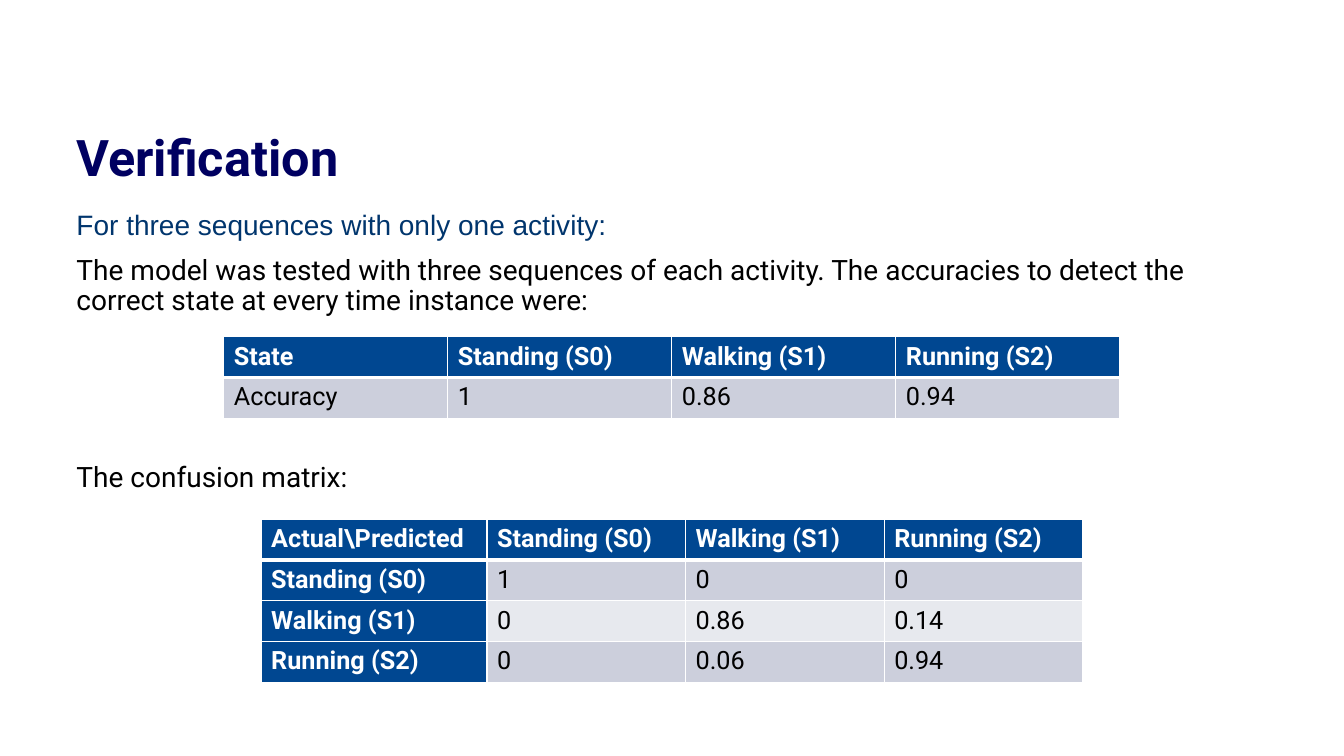
from lxml import etree
from pptx import Presentation, util as u
from pptx.dml.color import RGBColor
from pptx.enum import text
from pptx.oxml.ns import qn

# Content
TITLE = "Verification"
BODY = [  # words, font, colour, space before
    ("For three sequences with only one activity:", "Arial", "00356D", 10),
    ("The model was tested with three sequences of each activity. The accuracies "
     "to detect the correct state at every time instance were:", "Roboto", "000000", 10),
    ("The confusion matrix:", "Roboto", "000000", 105),
]
STATES = ["Standing (S0)", "Walking (S1)", "Running (S2)"]
SCORES = [["State", *STATES], ["Accuracy", "1", "0.86", "0.94"]]
MATRIX = [
    ["Actual\\Predicted", *STATES],
    [STATES[0], "1", "0", "0"],
    [STATES[1], "0", "0.86", "0.14"],
    [STATES[2], "0", "0.06", "0.94"],
]

# Layout and colours
WIDE, HIGH = 13.33, 7.5
LEFT, SPAN = 0.66, 12.02
ROW = 0.405
HEAD, BANDS = "004791", ("CCCFDC", "E7E9EE")

deck = Presentation()
deck.slide_width, deck.slide_height = u.Inches(WIDE), u.Inches(HIGH)
slide = deck.slides.add_slide(deck.slide_layouts[6])


def color(code):
    return RGBColor.from_string(code)


def write(par, words, size=18, font="Roboto", ink="000000", bold=False, line=None, before=None):
    par.line_spacing = line
    if before is not None:
        par.space_before = u.Pt(before)
    run = par.add_run()
    run.text = words
    face = run.font
    face.name, face.size, face.bold = font, u.Pt(size), bold
    face.color.rgb = color(ink)


def frame(top, high, inset=0.05):
    box = slide.shapes.add_textbox(*map(u.Inches, (LEFT, top, SPAN, high))).text_frame
    box.word_wrap = True
    box.auto_size = text.MSO_AUTO_SIZE.NONE
    box.vertical_anchor = text.MSO_ANCHOR.TOP
    box.margin_top = u.Inches(inset)
    return box


def edge(cell, sides):
    props = cell._tc.get_or_add_tcPr()
    for spot, (side, width) in enumerate(sides.items()):
        line = etree.Element(qn("a:ln" + side), w=str(u.Pt(width)))
        fill = etree.SubElement(line, qn("a:solidFill"))
        etree.SubElement(fill, qn("a:srgbClr"), val="FFFFFF")
        props.insert(spot, line)


def grid(rows, left, top, cols, side_head=False):
    size = (left, top, sum(cols), ROW * len(rows))
    table = slide.shapes.add_table(len(rows), len(cols), *map(u.Inches, size)).table
    for col, width in zip(table.columns, cols):
        col.width = u.Inches(width)
    for r, row in enumerate(rows):
        table.rows[r].height = u.Inches(ROW)
        for c, words in enumerate(row):
            cell = table.cell(r, c)
            head = r == 0 or (side_head and c == 0)
            cell.fill.solid()
            cell.fill.fore_color.rgb = color(HEAD if head else BANDS[(r - 1) % 2])
            write(cell.text_frame.paragraphs[0], words,
                  ink="FFFFFF" if head else "000000", bold=head)
            # Thick rule under the header row
            edge(cell, {"L": 1, "R": 1, "T": 3 if r == 1 else 1, "B": 3 if r == 0 else 1})


# Title
write(frame(1.2, 0.62, 0.12).paragraphs[0], TITLE, size=36, ink="000061", bold=True, line=0.9)

# Body text
body = frame(2.05, 4.87)
for i, (words, font, ink, before) in enumerate(BODY):
    par = body.add_paragraph() if i else body.paragraphs[0]
    write(par, words, size=20, font=font, ink=ink, line=0.9, before=before)

# Tables
grid(SCORES, 2.22, 3.34, [WIDE / 6] * 4)
grid(MATRIX, 2.59, 5.15, [2.24] + [1.97] * 3, side_head=True)

deck.save("out.pptx")
